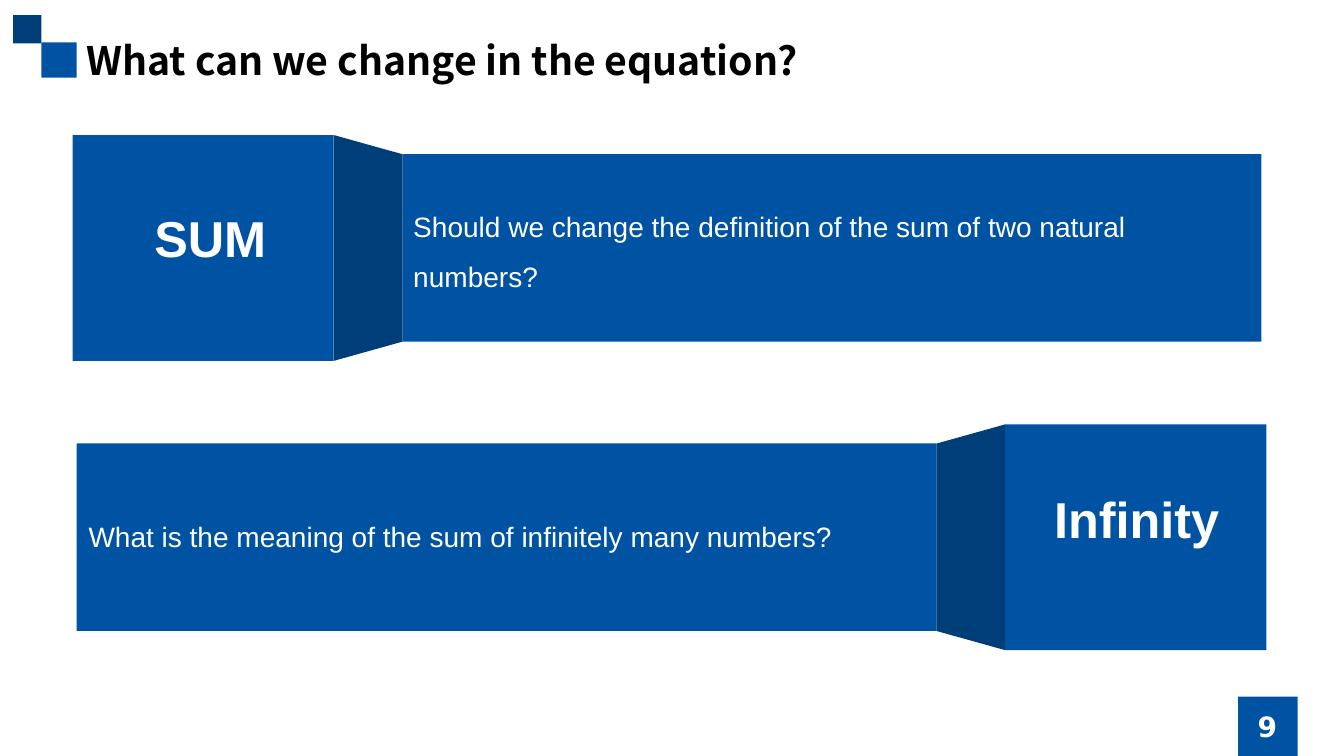
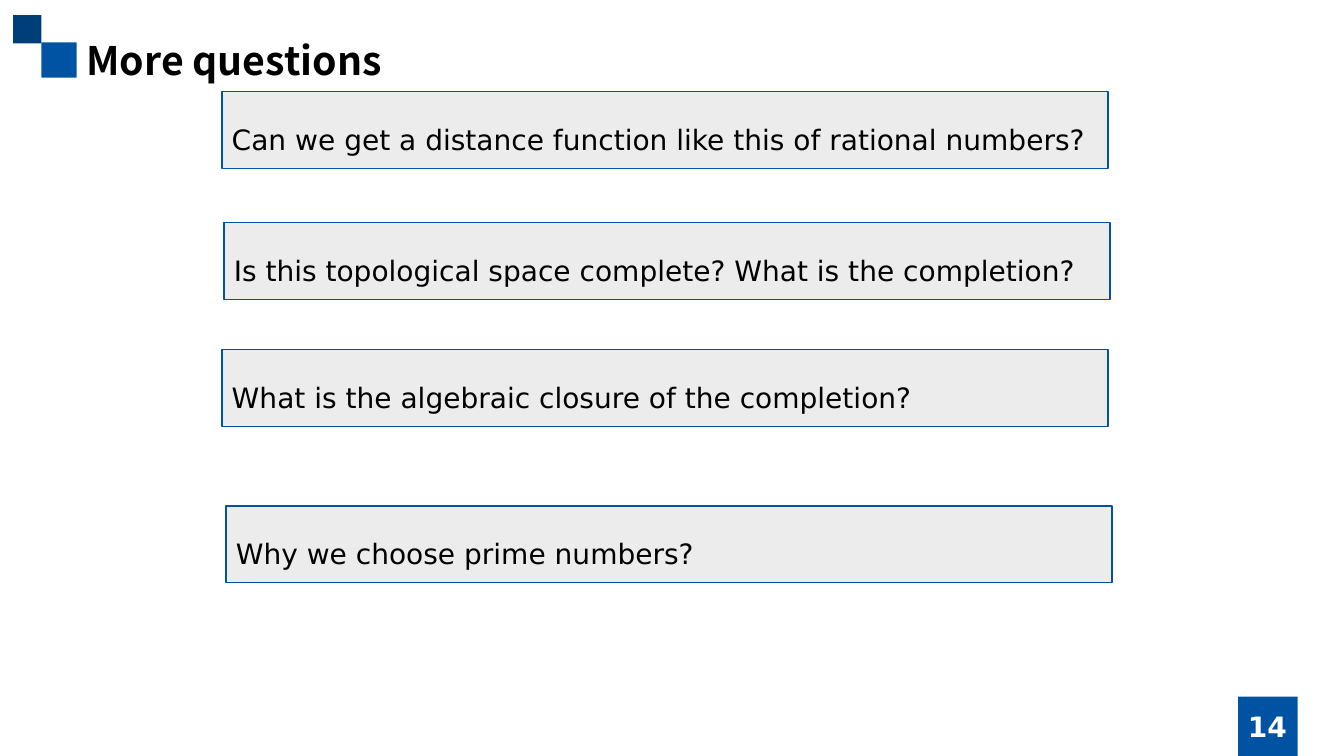
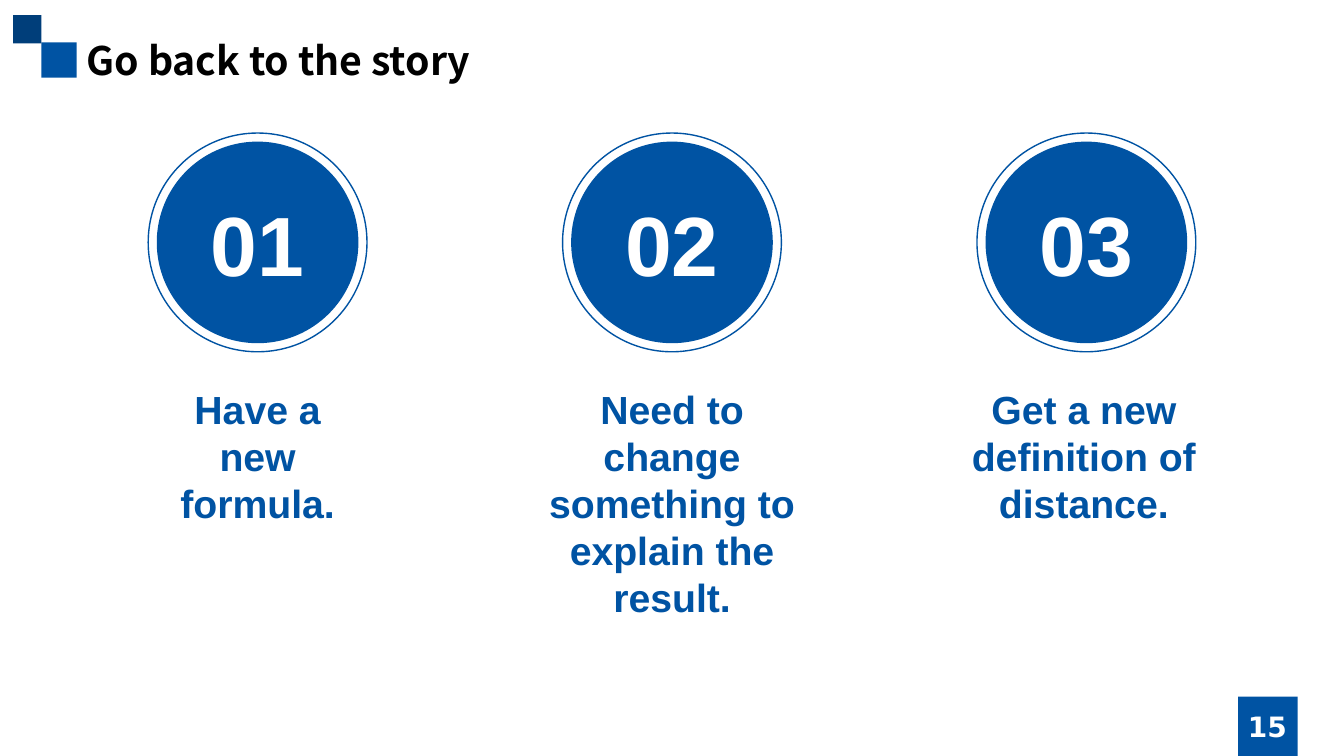
from pptx import Presentation
from pptx import util as u
from pptx.dml.color import RGBColor
from pptx.enum import shapes, text

COLOURS = {
    "blue": "0053A3",
    "navy": "003E7A",
    "grey": "ECECEC",
    "black": "000000",
    "white": "FFFFFF",
}
TITLE_FONT = "Noto Sans CJK SC"
BODY_FONT = "Arial"
PLAIN_FONT = "DejaVu Sans"
KIND = shapes.MSO_SHAPE
LEFT, CENTER = text.PP_ALIGN.LEFT, text.PP_ALIGN.CENTER
TOP, MIDDLE = text.MSO_ANCHOR.TOP, text.MSO_ANCHOR.MIDDLE


def colour(name):
    return RGBColor.from_string(COLOURS[name])


def inches(box):
    return [u.Inches(length) for length in box]


def add_shape(page, kind, box, fill=None, line=None):
    shape = page.shapes.add_shape(kind, *inches(box))
    shape.shadow.inherit = False
    if fill:
        shape.fill.solid()
        shape.fill.fore_color.rgb = colour(fill)
    else:
        shape.fill.background()
    if line:
        shape.line.color.rgb = colour(line)
        shape.line.width = u.Pt(1)
    else:
        shape.line.fill.background()
    return shape


def write(shape, words, size=20, font=BODY_FONT, ink="white", bold=False,
          align=LEFT, anchor=TOP, spacing=None):
    frame = shape.text_frame
    frame.word_wrap = True
    frame.vertical_anchor = anchor
    para = frame.paragraphs[0]
    para.alignment = align
    if spacing:
        para.line_spacing = spacing
    span = para.add_run()
    span.text = words
    span.font.size = u.Pt(size)
    span.font.name = font
    span.font.bold = bold
    span.font.color.rgb = colour(ink)


def add_text(page, box, words, **style):
    write(page.shapes.add_textbox(*inches(box)), words, **style)


def add_page(deck, title, number):
    page = deck.slides.add_slide(deck.slide_layouts[6])
    add_shape(page, KIND.RECTANGLE, (0.41, 0.42, 0.35, 0.35), "blue")
    add_shape(page, KIND.RECTANGLE, (0.13, 0.15, 0.28, 0.28), "navy")
    add_shape(page, KIND.RECTANGLE, (12.28, 6.91, 0.59, 0.59), "blue")
    add_text(page, (0.76, 0.31, 11.81, 0.57), title, size=28,
             font=TITLE_FONT, ink="black", bold=True)
    add_text(page, (11.81, 7.01, 1.52, 0.4), str(number), font=PLAIN_FONT,
             bold=True, align=CENTER, anchor=MIDDLE)
    return page


def add_ribbon(page, box, label, label_box, question, question_box, label_first):
    left, top, width, height = box
    block_width, fold_width, inset = 2.59, 0.68, 0.19
    panel_width = width - block_width - fold_width
    if label_first:
        block_left, fold_left = left, left + block_width
        panel_left = fold_left + fold_width
    else:
        panel_left, fold_left = left, left + panel_width
        block_left = fold_left + fold_width
    add_shape(page, KIND.RECTANGLE, (block_left, top, block_width, height), "blue")
    add_shape(page, KIND.RECTANGLE,
              (panel_left, top + inset, panel_width, height - 2 * inset), "blue")
    shift = (height - fold_width) / 2
    fold = add_shape(page, KIND.TRAPEZOID,
                     (fold_left - shift, top + shift, height, fold_width), "navy")
    fold.adjustments[0] = inset / fold_width
    fold.rotation = 90 if label_first else 270
    for words, place, start, span_width, style in (
        (label, label_box, block_left, block_width,
         dict(size=36, bold=True, align=CENTER)),
        (question, question_box, panel_left, panel_width, dict(spacing=1.5)),
    ):
        across, down, tall = place
        add_text(page, (start + across, top + down, span_width, tall), words, **style)


def add_question(page, box, words):
    left, top, width, height = box
    add_shape(page, KIND.RECTANGLE, box, "grey", "blue")
    add_text(page, (left, top + 0.09, width, 0.54), words,
             font=PLAIN_FONT, ink="black", spacing=1.5)


def add_step(page, box, number, words, words_left, words_width):
    left, top, size, height = box
    rim = 0.085
    disc = add_shape(page, KIND.OVAL,
                     (left + rim, top + rim, size - 2 * rim, size - 2 * rim), "blue")
    write(disc, f"{number:02}", size=60, bold=True, align=CENTER, anchor=MIDDLE)
    add_shape(page, KIND.OVAL, (left, top, size, size), line="blue")
    add_text(page, (words_left, top + 2.45, words_width, height - 2.45), words,
             size=28, ink="blue", bold=True, align=CENTER)


def equation_page(deck):
    page = add_page(deck, "What can we change in the equation?", 9)
    add_ribbon(page, (0.72, 1.34, 11.79, 2.24), "SUM", (0.07, 0.67, 0.71),
               "Should we change the definition of the sum of two natural numbers?",
               (0.01, 0.52, 1.11), True)
    add_ribbon(page, (0.76, 4.21, 11.8, 2.24), "Infinity", (0.01, 0.58, 0.71),
               "What is the meaning of the sum of infinitely many numbers?",
               (0.02, 0.73, 0.55), False)


def questions_page(deck):
    page = add_page(deck, "More questions", 14)
    for left, top, words in (
        (2.2, 0.91, "Can we get a distance function like this of rational numbers?"),
        (2.22, 2.21, "Is this topological space complete? What is the completion?"),
        (2.2, 3.47, "What is the algebraic closure of the completion?"),
        (2.24, 5.02, "Why we choose prime numbers?"),
    ):
        add_question(page, (left, top, 8.79, 0.76), words)


def story_page(deck):
    page = add_page(deck, "Go back to the story", 15)
    steps = (
        ("Have a new formula.", 1.47, 2.17),
        ("Need to change something to explain the result.", 5.19, 2.95),
        ("Get a new definition of distance.", 9.52, 2.46),
    )
    for index, (words, words_left, words_width) in enumerate(steps):
        add_step(page, (1.47 + 4.11 * index, 1.32, 2.17, 4.9), index + 1,
                 words, words_left, words_width)


deck = Presentation()
deck.slide_width, deck.slide_height = inches((13.33, 7.5))
equation_page(deck)
questions_page(deck)
story_page(deck)
deck.save("out.pptx")
